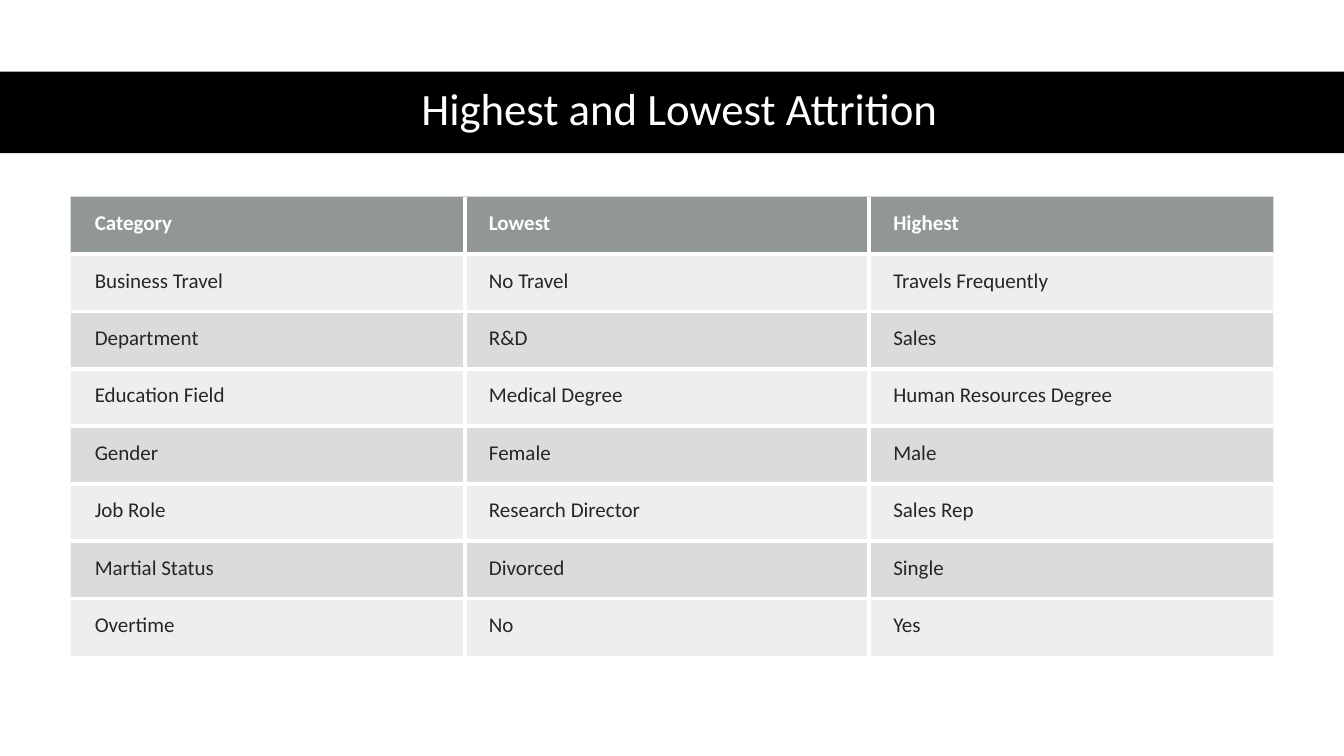
from dataclasses import dataclass

from lxml import etree
from pptx import Presentation
from pptx.dml.color import RGBColor
from pptx.enum.shapes import MSO_SHAPE
from pptx.enum.text import MSO_ANCHOR, PP_ALIGN
from pptx.oxml.ns import qn
from pptx.util import Inches, Pt

RECTANGLE = MSO_SHAPE.RECTANGLE
MIDDLE = MSO_ANCHOR.MIDDLE
CENTER = PP_ALIGN.CENTER

FONT = "Calibri"
COLORS = {
    "band": "000000",
    "light": "FFFFFF",
    "body_text": "262626",
    "header_fill": "636B68",
    "row_fill": "878E8B",
}
SLIDE_WIDTH, SLIDE_HEIGHT = 13.33, 7.5
COLUMN_WIDTHS = (3.91, 4.01, 4.01)
ROW_HEIGHT = 0.57
GAP_WIDTH = Pt(3)
CELL_INSET, CELL_LEFT_INSET = Inches(0.14), Inches(0.24)


@dataclass(frozen=True)
class Box:
    left: float
    top: float
    width: float
    height: float

    def emu(self) -> tuple:
        return tuple(Inches(v) for v in (self.left, self.top, self.width, self.height))


@dataclass(frozen=True)
class RowStyle:
    fill: str
    opacity: int
    text: str
    bold: bool


@dataclass(frozen=True)
class Attrition:
    category: str
    lowest: str
    highest: str

    def texts(self) -> tuple:
        return self.category, self.lowest, self.highest


HEADER_STYLE = RowStyle("header_fill", 70, "light", True)
BAND_STYLES = (
    RowStyle("row_fill", 15, "body_text", False),
    RowStyle("row_fill", 30, "body_text", False),
)
ROWS = (
    Attrition("Category", "Lowest", "Highest"),
    Attrition("Business Travel", "No Travel", "Travels Frequently"),
    Attrition("Department", "R&D", "Sales"),
    Attrition("Education Field", "Medical Degree", "Human Resources Degree"),
    Attrition("Gender", "Female", "Male"),
    Attrition("Job Role", "Research Director", "Sales Rep"),
    Attrition("Martial Status", "Divorced", "Single"),
    Attrition("Overtime", "No", "Yes"),
)
BAND_BOX = Box(0, 0.71, SLIDE_WIDTH, 0.81)
TITLE_BOX = Box(0.61, 0.7, 12.26, 0.81)
TABLE_BOX = Box(0.7, 1.95, sum(COLUMN_WIDTHS), ROW_HEIGHT * len(ROWS))


def rgb(name: str) -> RGBColor:
    return RGBColor.from_string(COLORS[name])


def add_run(paragraph, text: str, size: float, color: str, bold: bool = False) -> None:
    run = paragraph.add_run()
    run.text = text
    run.font.name = FONT
    run.font.size = Pt(size)
    run.font.bold = bold
    run.font.color.rgb = rgb(color)


def add_title(slide, text: str) -> None:
    """Place the title over a full-width band."""
    title = slide.shapes.title
    band = slide.shapes.add_shape(RECTANGLE, *BAND_BOX.emu())
    band.shadow.inherit = False
    band.fill.solid()
    band.fill.fore_color.rgb = rgb("band")
    band.line.fill.background()
    title.element.addprevious(band.element)

    title.left, title.top, title.width, title.height = TITLE_BOX.emu()
    title.text_frame.vertical_anchor = MIDDLE
    paragraph = title.text_frame.paragraphs[0]
    paragraph.alignment = CENTER
    paragraph.line_spacing = 0.9
    add_run(paragraph, text, 32, "light")


def fill_cell(cell, style: RowStyle) -> None:
    cell.fill.solid()
    cell.fill.fore_color.rgb = rgb(style.fill)
    color = cell._tc.tcPr.find(f"{qn('a:solidFill')}/{qn('a:srgbClr')}")
    etree.SubElement(color, qn("a:alpha"), val=str(style.opacity * 1000))


def set_borders(cell, inner_edges: dict[str, bool]) -> None:
    """Rule the edges shared with other cells and clear the outer ones."""
    properties = cell._tc.tcPr
    for position, (edge, inner) in enumerate(inner_edges.items()):
        line = etree.Element(qn(f"a:{edge}"), w=str(GAP_WIDTH))
        if inner:
            fill = etree.SubElement(line, qn("a:solidFill"))
            etree.SubElement(fill, qn("a:srgbClr"), val=COLORS["light"])
        else:
            etree.SubElement(line, qn("a:noFill"))
        properties.insert(position, line)


def add_attrition_table(slide) -> None:
    row_count, column_count = len(ROWS), len(COLUMN_WIDTHS)
    table = slide.shapes.add_table(row_count, column_count, *TABLE_BOX.emu()).table
    for column, width in zip(table.columns, COLUMN_WIDTHS):
        column.width = Inches(width)
    for r, entry in enumerate(ROWS):
        table.rows[r].height = Inches(ROW_HEIGHT)
        style = BAND_STYLES[(r - 1) % 2] if r else HEADER_STYLE
        for c, text in enumerate(entry.texts()):
            cell = table.cell(r, c)
            cell.margin_left = CELL_LEFT_INSET
            cell.margin_right = cell.margin_top = cell.margin_bottom = CELL_INSET
            fill_cell(cell, style)
            set_borders(cell, {
                "lnL": c > 0,
                "lnR": c < column_count - 1,
                "lnT": r > 0,
                "lnB": r < row_count - 1,
            })
            paragraph = cell.text_frame.paragraphs[0]
            add_run(paragraph, text, 15, style.text, style.bold)


def main() -> None:
    presentation = Presentation()
    presentation.slide_width = Inches(SLIDE_WIDTH)
    presentation.slide_height = Inches(SLIDE_HEIGHT)
    title_only = presentation.slide_layouts.get_by_name("Title Only")
    slide = presentation.slides.add_slide(title_only)
    add_title(slide, "Highest and Lowest Attrition")
    add_attrition_table(slide)
    presentation.save("out.pptx")


if __name__ == "__main__":
    main()
